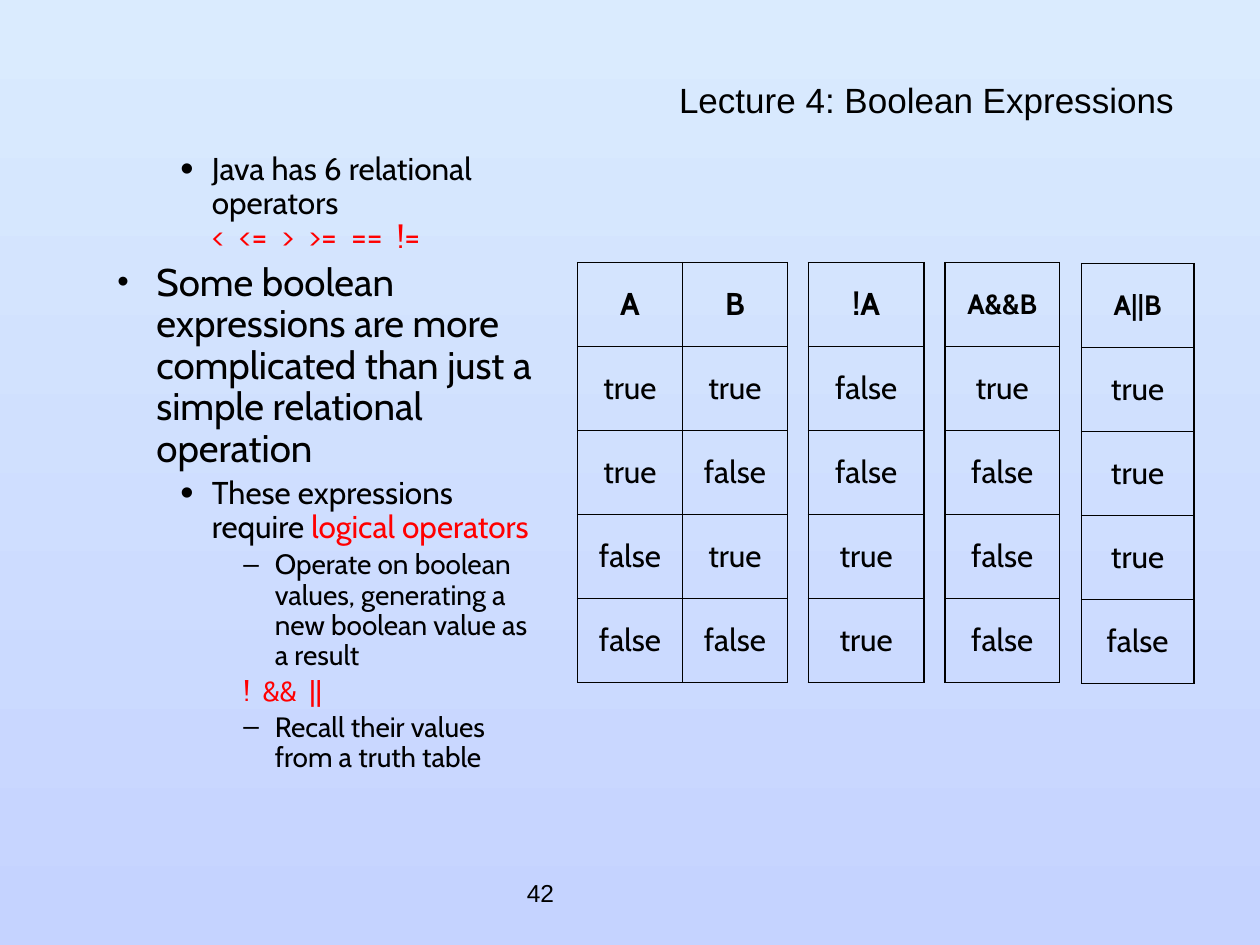
import pptx
import pptx.util
import pptx.dml.color
import pptx.enum.text
import pptx.oxml.ns
from lxml import etree

UNIT = 1 / 12
BLACK, RED = "000000", "FF0000"
ALIGN = pptx.enum.text.PP_ALIGN
MIDDLE = pptx.enum.text.MSO_ANCHOR.MIDDLE


def grid(*values):
    return [pptx.util.Inches(v * UNIT) for v in values]


def rgb(value):
    return pptx.dml.color.RGBColor.from_string(value)


def add_xml(parent, tag, **attrs):
    return etree.SubElement(parent, pptx.oxml.ns.qn(tag), attrs)


def add_run(p, text, size, color=BLACK, font="Cabin", bold=False):
    r = p.add_run()
    r.text = text
    r.font.size = pptx.util.Pt(size)
    r.font.name = font
    r.font.bold = bold
    r.font.color.rgb = rgb(color)


def add_box(s, box):
    tf = s.shapes.add_textbox(*grid(*box)).text_frame
    tf.word_wrap = True
    return tf


def add_background(s):
    fill = s.background.fill
    fill.gradient()
    fill.gradient_angle = 270
    for stop, color in zip(fill.gradient_stops, ("DAEBFE", "C5D3FF")):
        stop.color.rgb = rgb(color)


def add_line_of_text(s, box, text, size, align, spacing=1.0):
    tf = add_box(s, box)
    tf.vertical_anchor = MIDDLE
    p = tf.paragraphs[0]
    p.alignment = align
    p.line_spacing = spacing
    add_run(p, text, size, font="Arial")


def add_bullets(s, box, items):
    levels = {
        1: (22, 0.81, 0.31, "•", 85),
        2: (18, 1.25, 0.25, "•", 120),
        3: (16, 1.75, 0.25, "–", 100),
    }
    tf = add_box(s, box)
    for i, (level, bulleted, runs) in enumerate(items):
        size, margin, hang, char, percent = levels[level]
        p = tf.add_paragraph() if i else tf.paragraphs[0]
        p.level = level
        p.line_spacing = 0.9
        p.space_before = pptx.util.Pt(0.2 * size)
        pPr = p._p.get_or_add_pPr()
        pPr.set("marL", str(pptx.util.Inches(margin)))
        pPr.set("indent", str(-pptx.util.Inches(hang)))
        if bulleted:
            add_xml(add_xml(pPr, "a:buClr"), "a:srgbClr", val=BLACK)
            add_xml(pPr, "a:buSzPct", val=str(percent * 1000))
            add_xml(pPr, "a:buFont", typeface="Arial")
            add_xml(pPr, "a:buChar", char=char)
        else:
            add_xml(pPr, "a:buNone")
        for text, color in runs:
            if text == "\n":
                p.add_line_break()
            else:
                add_run(p, text, size, color)


def add_borders(cell):
    tcPr = cell._tc.get_or_add_tcPr()
    for side in ("a:lnL", "a:lnR", "a:lnT", "a:lnB"):
        ln = add_xml(tcPr, side, w=str(pptx.util.Pt(1)))
        add_xml(add_xml(ln, "a:solidFill"), "a:srgbClr", val=BLACK)


def add_truth_table(s, box, rows, header_size):
    frame = s.shapes.add_table(len(rows), len(rows[0]), *grid(*box))
    table = frame.table
    table.first_row = table.horz_banding = False
    for i, row in enumerate(rows):
        for j, text in enumerate(row):
            cell = table.cell(i, j)
            add_borders(cell)
            cell.fill.background()
            cell.vertical_anchor = MIDDLE
            size = 18 if i else header_size
            p = cell.text_frame.paragraphs[0]
            p.alignment = ALIGN.CENTER
            p.space_before = pptx.util.Pt(0.2 * size)
            add_run(p, text, size, bold=i == 0)


def main():
    prs = pptx.Presentation()
    prs.slide_width, prs.slide_height = grid(120, 90)
    s = prs.slides.add_slide(prs.slide_layouts[6])
    add_background(s)
    add_line_of_text(s, (49, 82, 25, 6), "42", 14, ALIGN.LEFT)
    add_line_of_text(s, (7, 8, 106, 4), "Lecture 4: Boolean Expressions",
                     20, ALIGN.RIGHT, 0.7)
    add_bullets(s, (4, 14, 49, 66), [
        (2, True, [("Java has 6 relational operators", BLACK), ("\n", BLACK),
                   ("<  <=  >  >=  ==  !=", RED)]),
        (1, True, [("Some boolean expressions are more complicated than "
                    "just a simple relational operation", BLACK)]),
        (2, True, [("These expressions require ", BLACK),
                   ("logical operators", RED)]),
        (3, True, [("Operate on boolean values, generating a new boolean "
                    "value as a result", BLACK)]),
        (3, False, [("!  &&  ||", RED)]),
        (3, True, [("Recall their values from a truth table", BLACK)]),
    ])
    inputs = [(a, b) for a in (True, False) for b in (True, False)]
    tables = [
        (55, 25, 20, 18, ("A", "B"), lambda a, b: (a, b)),
        (77, 25, 11, 18, ("!A",), lambda a, b: (not a,)),
        (90, 25, 10.9, 16, ("A&&B",), lambda a, b: (a and b,)),
        (103, 25.1, 10.7, 16, ("A||B",), lambda a, b: (a or b,)),
    ]
    for left, top, width, size, header, rule in tables:
        values = [[str(v).lower() for v in rule(a, b)] for a, b in inputs]
        add_truth_table(s, (left, top, width, 40), [header] + values, size)
    prs.save("out.pptx")


if __name__ == "__main__":
    main()
